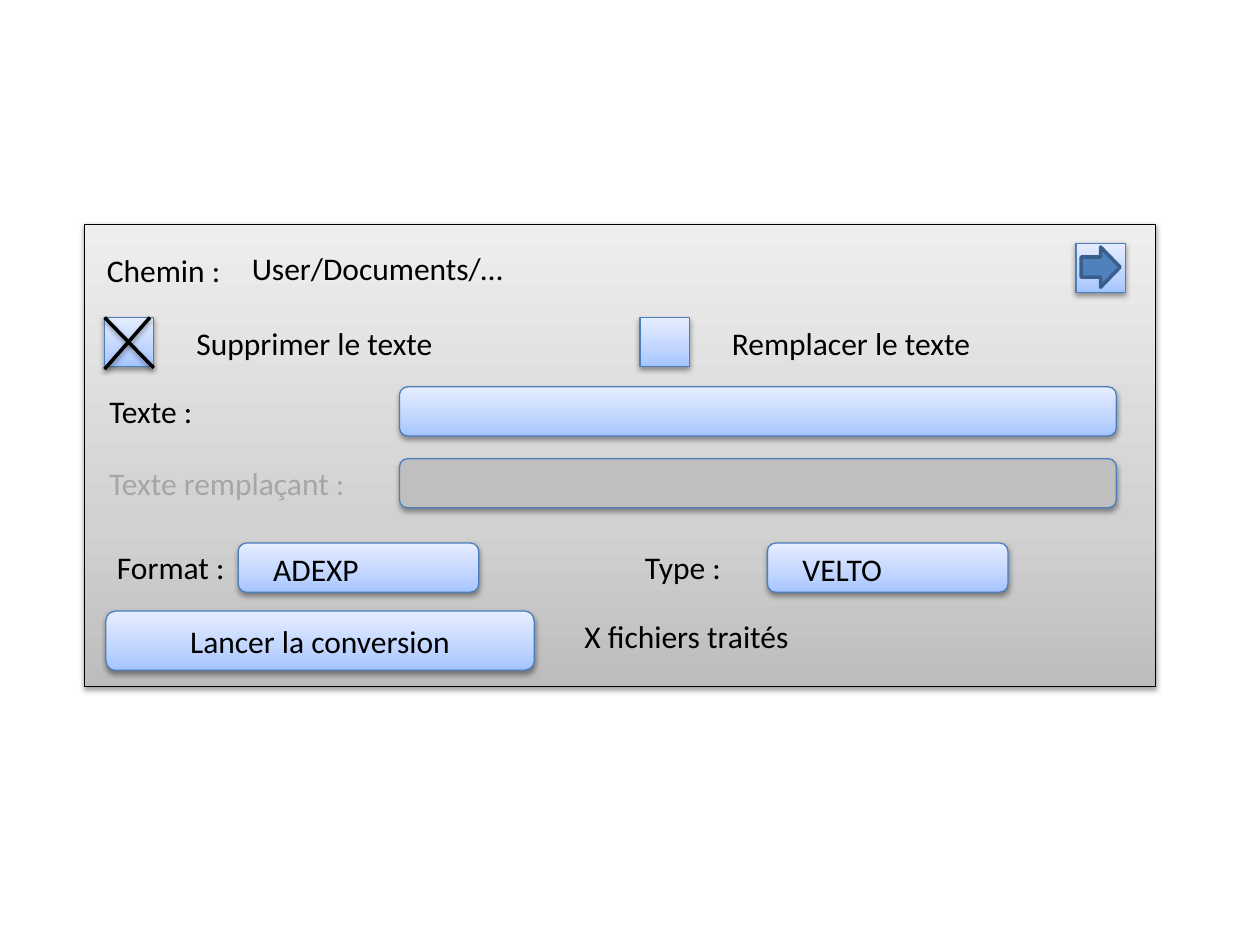
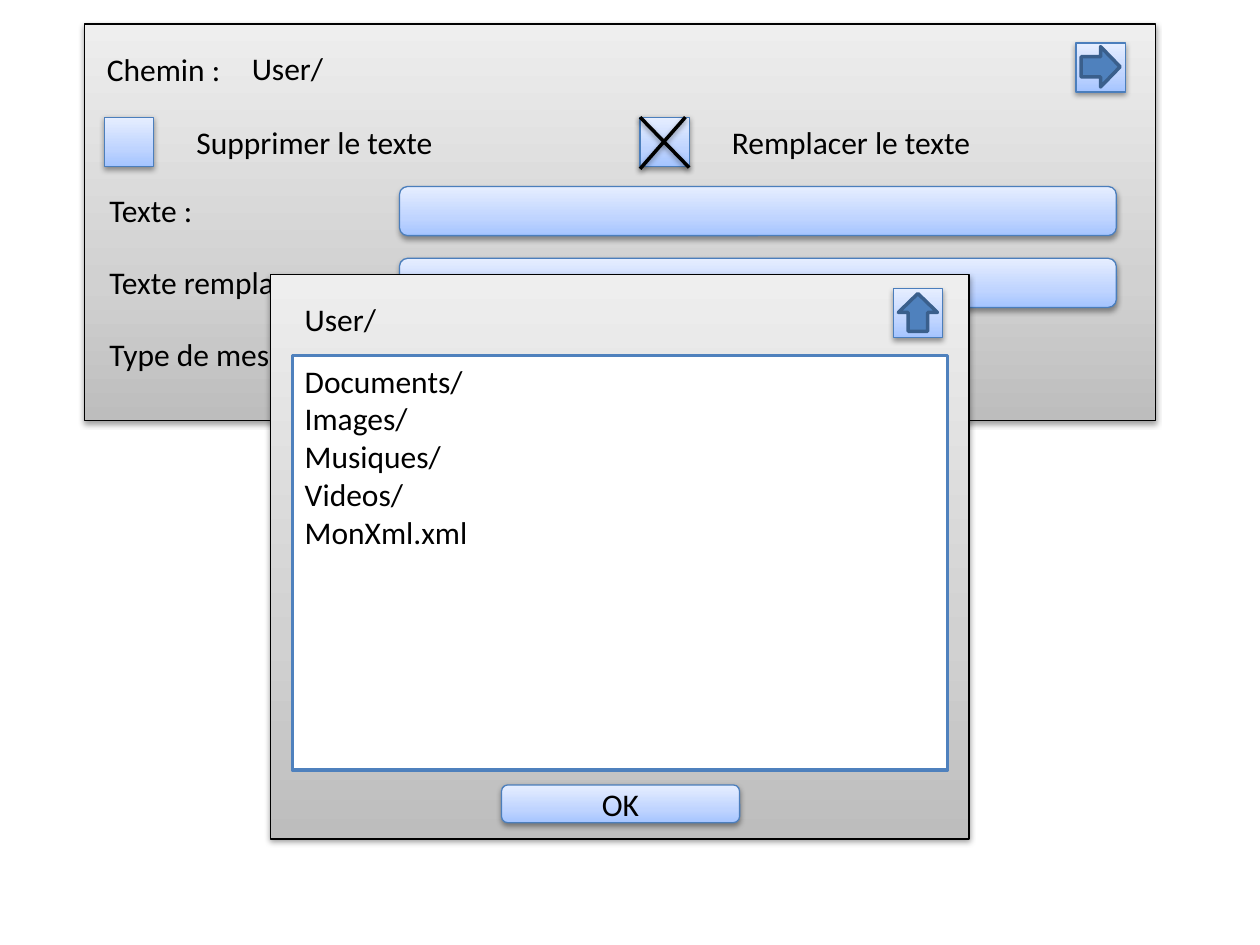
from copy import deepcopy
from pptx import Presentation
from pptx.dml.color import RGBColor
from pptx.enum.shapes import MSO_CONNECTOR, MSO_SHAPE
from pptx.enum.text import MSO_ANCHOR, MSO_AUTO_SIZE, PP_ALIGN
from pptx.oxml import parse_xml
from pptx.oxml.ns import qn
from pptx.util import Inches, Pt

RECT = MSO_SHAPE.RECTANGLE
ROUND = MSO_SHAPE.ROUNDED_RECTANGLE
RIGHT = MSO_SHAPE.RIGHT_ARROW
UP = MSO_SHAPE.UP_ARROW
STRAIGHT = MSO_CONNECTOR.STRAIGHT
MIDDLE = MSO_ANCHOR.MIDDLE
CENTER = PP_ALIGN.CENTER
GROW = MSO_AUTO_SIZE.SHAPE_TO_FIT_TEXT

BLACK = RGBColor(0x00, 0x00, 0x00)
WHITE = RGBColor(0xFF, 0xFF, 0xFF)
MUTED = RGBColor(0xA6, 0xA6, 0xA6)
SILVER = RGBColor(0xBF, 0xBF, 0xBF)
EDGE = RGBColor(0x4B, 0x7E, 0xBC)
ACCENT = RGBColor(0x4F, 0x81, 0xBD)
NAVY = RGBColor(0x3A, 0x5F, 0x8C)
GREYS = [RGBColor(0xBD, 0xBD, 0xBD), RGBColor(0xD1, 0xD1, 0xD1), RGBColor(0xEE, 0xEE, 0xEE)]
BLUES = [RGBColor(0xA4, 0xC4, 0xFF), RGBColor(0xBF, 0xD4, 0xFF), RGBColor(0xE6, 0xEE, 0xFF)]
STOPS = (0, 0.35, 1)
SHADOW = (
    '<a:effectLst xmlns:a="http://schemas.openxmlformats.org/drawingml/2006/main">'
    '<a:outerShdw blurRad="40000" dist="20000" dir="5400000" rotWithShape="0">'
    '<a:srgbClr val="000000"><a:alpha val="38000"/></a:srgbClr>'
    '</a:outerShdw></a:effectLst>'
)
SIDE = 0.39


def box(slide, kind, x, y, w, h, fill=BLUES, edge=EDGE, width=0.75, shade=True):
    shape = slide.shapes.add_shape(kind, Inches(x), Inches(y), Inches(w), Inches(h))
    props = shape._element.spPr
    if isinstance(fill, list):
        shape.fill.gradient()
        shape.fill.gradient_angle = 90
        stops = props.find(".//" + qn("a:gsLst"))
        stops.insert(1, deepcopy(stops[0]))
        for stop, place, color in zip(shape.fill.gradient_stops, STOPS, fill):
            stop.position = place
            stop.color.rgb = color
    else:
        shape.fill.solid()
        shape.fill.fore_color.rgb = fill
    shape.line.color.rgb = edge
    shape.line.width = Pt(width)
    if shade:
        props.append(parse_xml(SHADOW))
    else:
        shape.shadow.inherit = False
    return shape


def write(shape, text, color=BLACK):
    frame = shape.text_frame
    frame.word_wrap = True
    frame.text = text
    for para in frame.paragraphs:
        para.font.name = "Calibri"
        para.font.size = Pt(18)
        para.font.color.rgb = color
    return frame


deck = Presentation()
deck.slide_width = Inches(10)
deck.slide_height = Inches(7.5)
blank = deck.slide_layouts[6]

forms = [
    (1.78, 3.67, "User/Documents/…", 0.83, SILVER, MUTED,
     [(0.83, 2.52, "Format :", 1.89, "ADEXP"), (5.02, 2.52, "Type :", 6.09, "VELTO")]),
    (0.19, 3.15, "User/", 5.08, BLUES, BLACK,
     [(0.77, 2.42, "Type de message :", 3.17, "ADEXP")]),
]
pages = []
for top, high, folder, tick, fill, tint, lists in forms:
    slide = deck.slides.add_slide(blank)
    pages.append(slide)
    box(slide, RECT, 0.67, top, 8.5, high, GREYS, BLACK)

    labels = [
        (0.75, 0.16, 1.97, "Chemin :", BLACK),
        (1.9, 0.15, 6.33, folder, BLACK),
        (0.77, 1.28, 2.26, "Texte :", BLACK),
        (0.77, 1.85, 2.26, "Texte remplaçant :", tint),
    ]
    for x, name in ((0.83, "Supprimer le texte"), (5.08, "Remplacer le texte")):
        box(slide, RECT, x, top + 0.74, SIDE, SIDE)
        labels.append((x + 0.63, 0.74, 3.15, name, BLACK))
    for y, paint in ((1.29, BLUES), (1.86, fill)):
        box(slide, ROUND, 3.17, top + y, 5.69, SIDE, paint)
    for x, y, name, left, value in lists:
        box(slide, ROUND, left, top + y + 0.01, 1.91, SIDE)
        labels += [(x, y, 2.26, name, BLACK), (left + 0.18, y + 0.02, 2.52, value, BLACK)]
    for x, y, w, text, color in labels:
        area = slide.shapes.add_textbox(Inches(x), Inches(top + y), Inches(w), Inches(0.4))
        write(area, text, color).auto_size = GROW

    box(slide, RECT, 8.54, top + 0.15, SIDE, SIDE)
    box(slide, RIGHT, 8.58, top + 0.18, 0.31, 0.32, ACCENT, NAVY, 2, False)
    for start, end, drop in ((0, 0.39, 0.4), (0.36, 0, 0.41)):
        stroke = slide.shapes.add_connector(
            STRAIGHT, Inches(tick + start), Inches(top + 0.74),
            Inches(tick + end), Inches(top + 0.74 + drop))
        stroke.line.color.rgb = BLACK
        stroke.line.width = Pt(2)
        stroke._element.spPr.append(parse_xml(SHADOW))

first, second = pages
status = first.shapes.add_textbox(Inches(4.54), Inches(4.85), Inches(4.33), Inches(0.4))
write(status, "X fichiers traités").auto_size = GROW

box(second, RECT, 2.15, 2.18, 5.54, 4.48, GREYS, BLACK)
box(second, RECT, 2.32, 2.82, 5.2, 3.29, WHITE, ACCENT, 2, False)
box(second, RECT, 7.09, 2.29, SIDE, SIDE)
box(second, UP, 7.13, 2.33, 0.31, 0.3, ACCENT, NAVY, 2, False)
files = "Documents/\nImages/\nMusiques/\nVideos/\nMonXml.xml"
for y, w, h, text in ((2.33, 4.57, 0.4, "User/"), (2.82, 5.16, 1.62, files)):
    area = second.shapes.add_textbox(Inches(2.32), Inches(y), Inches(w), Inches(h))
    write(area, text).auto_size = GROW

for slide, x, y, w, h, text in (
    (first, 0.84, 4.85, 3.4, 0.47, "Lancer la conversion"),
    (second, 3.98, 6.23, 1.89, 0.3, "OK"),
):
    frame = write(box(slide, ROUND, x, y, w, h), text)
    frame.vertical_anchor = MIDDLE
    frame.paragraphs[0].alignment = CENTER

deck.save("out.pptx")
